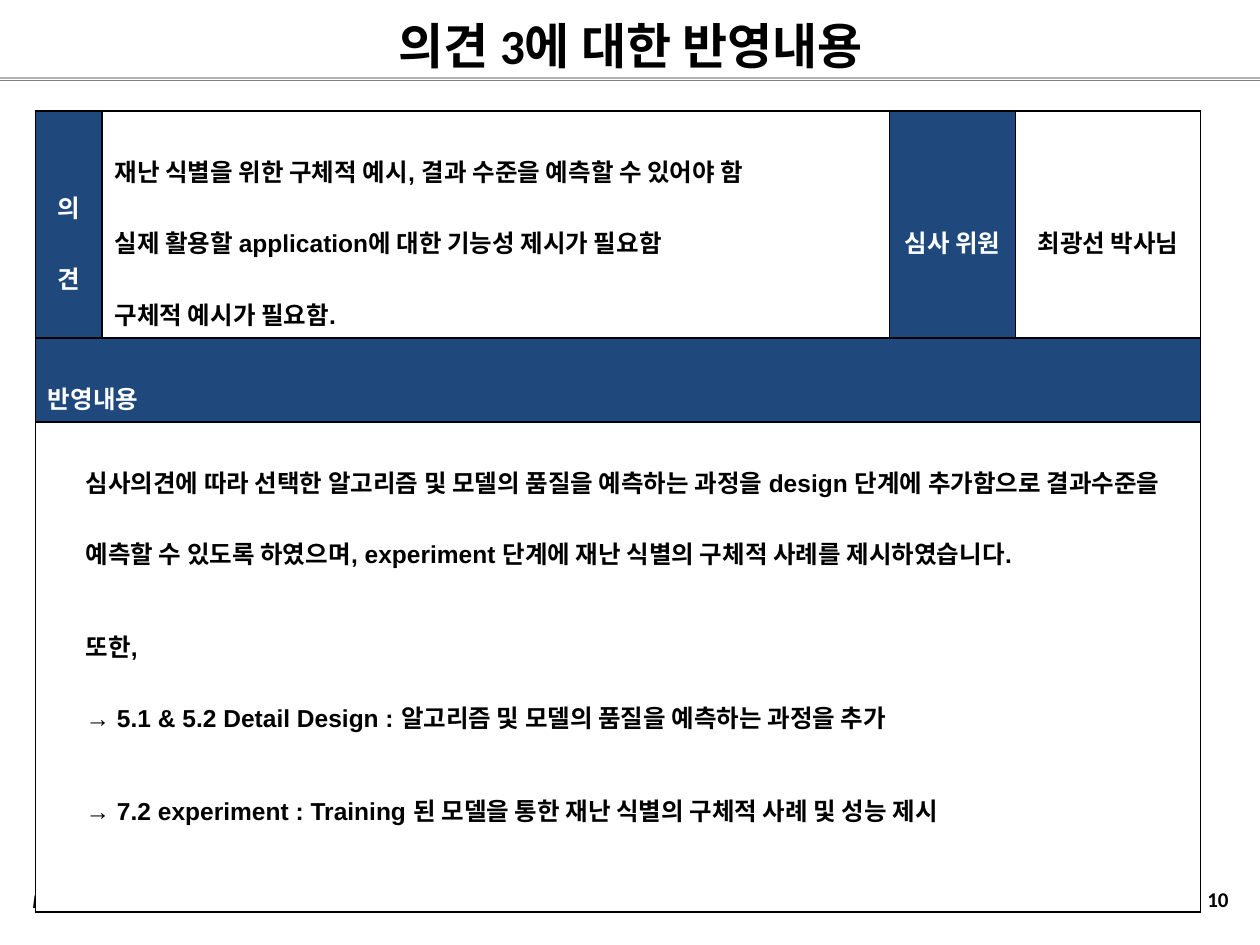
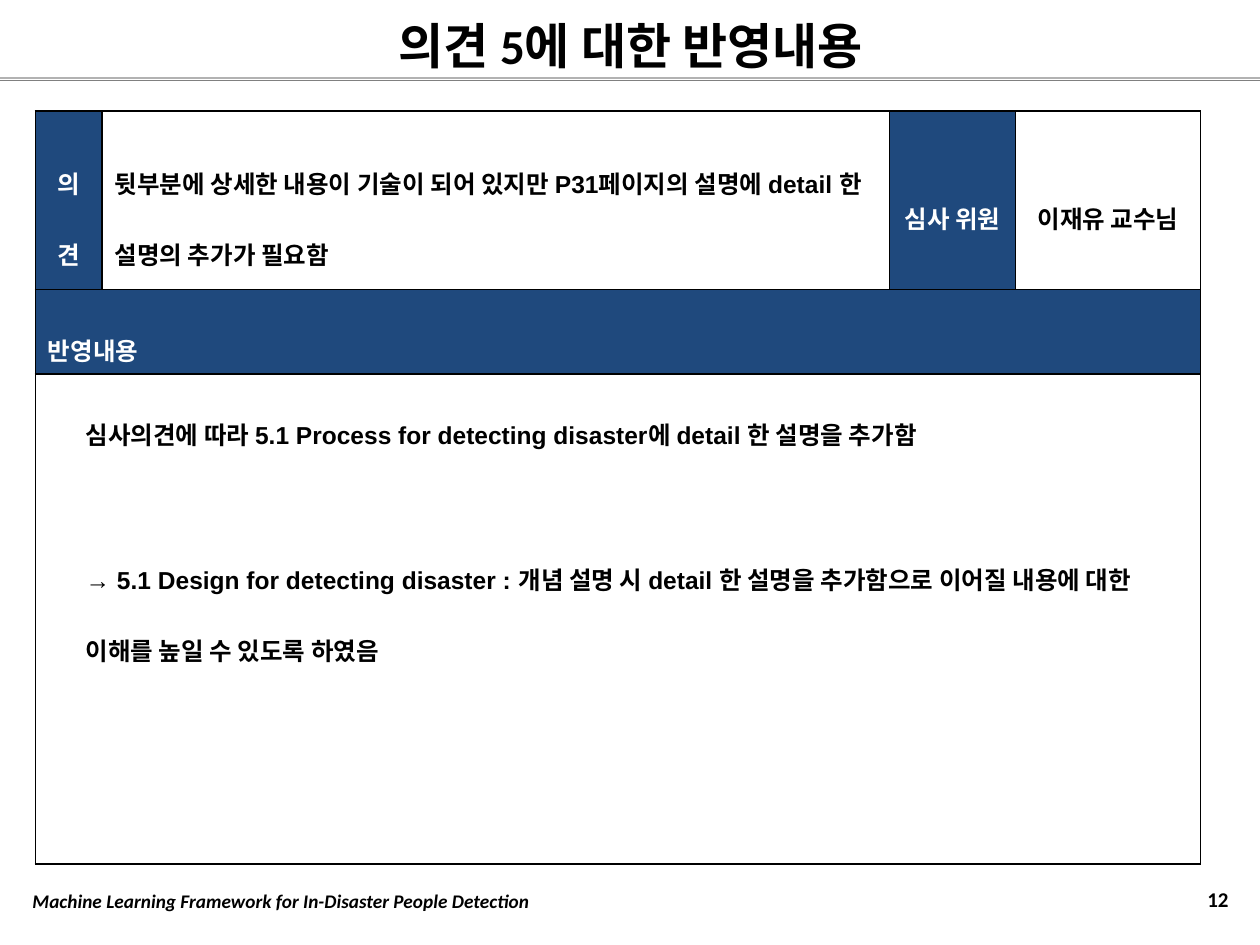
from dataclasses import dataclass

from lxml import etree
from pptx import Presentation
from pptx.dml.color import RGBColor
from pptx.enum.shapes import MSO_CONNECTOR
from pptx.enum.text import MSO_ANCHOR, MSO_AUTO_SIZE, PP_ALIGN
from pptx.oxml.ns import qn
from pptx.util import Inches, Pt

LEFT, MID, RIGHT = PP_ALIGN.LEFT, PP_ALIGN.CENTER, PP_ALIGN.RIGHT
TOP, CENTER = MSO_ANCHOR.TOP, MSO_ANCHOR.MIDDLE
STRAIGHT = MSO_CONNECTOR.STRAIGHT
NO_FIT = MSO_AUTO_SIZE.NONE
TITLE_ONLY = 5


@dataclass(frozen=True)
class Theme:
    ink: str = "000000"
    paper: str = "FFFFFF"
    navy: str = "1F497D"
    pale: str = "B2B2B2"
    gray: str = "808080"
    head: str = "Calibri"
    body: str = "Arial"
    title: int = 28
    cell: int = 14
    number: int = 12
    footer: int = 11


FOOTER = "Machine Learning Framework for In-Disaster People Detection"
COLS = (0.53, 6.25, 1, 1.47)
ROWS = (1.42, 0.49, 3.89)
EDGES = ("L", "R", "T", "B")

# Body items pair a text with its space before in points.
REVIEWS = [
    {
        "title": "의견 3에 대한 반영내용",
        "number": "10",
        "notes": [
            "재난 식별을 위한 구체적 예시, 결과 수준을 예측할 수 있어야 함",
            "실제 활용할 application에 대한 기능성 제시가 필요함",
            "구체적 예시가 필요함.",
        ],
        "judge": "최광선 박사님",
        "reply": [
            ("심사의견에 따라 선택한 알고리즘 및 모델의 품질을 예측하는 과정을 "
             "design 단계에 추가함으로 결과수준을 예측할 수 있도록 하였으며, "
             "experiment 단계에 재난 식별의 구체적 사례를 제시하였습니다.", 0),
            ("또한,\n→ 5.1 & 5.2 Detail Design : "
             "알고리즘 및 모델의 품질을 예측하는 과정을 추가", 6),
            ("→ 7.2 experiment : Training 된 모델을 통한 "
             "재난 식별의 구체적 사례 및 성능 제시", 6),
        ],
    },
    {
        "title": "의견 5에 대한 반영내용",
        "number": "12",
        "notes": [
            "뒷부분에 상세한 내용이 기술이 되어 있지만 P31페이지의 설명에 "
            "detail 한 설명의 추가가 필요함",
        ],
        "judge": "이재유 교수님",
        "reply": [
            ("심사의견에 따라 5.1 Process for detecting disaster에 "
             "detail 한 설명을 추가함", 0),
            ("→ 5.1 Design for detecting disaster : 개념 설명 시 detail 한 "
             "설명을 추가함으로 이어질 내용에 대한 이해를 높일 수 있도록 하였음", 36),
        ],
    },
]


def assign(target, values):
    for name, value in values.items():
        setattr(target, name, value)


def rgb(color):
    return RGBColor.from_string(color)


def node(parent, tag, **attrs):
    item = etree.SubElement(parent, qn(tag))
    for name, value in attrs.items():
        item.set(name, str(value))
    return item


class Deck:
    def __init__(self, theme):
        self.theme = theme
        self.file = Presentation()
        assign(self.file, {"slide_width": Inches(10), "slide_height": Inches(7.5)})
        self.slide = None

    def start(self):
        layout = self.file.slide_layouts[TITLE_ONLY]
        self.slide = self.file.slides.add_slide(layout)

    def style(self, para, size, font, color, italic=False, **layout):
        assign(para, layout)
        assign(para.font, {"size": Pt(size), "name": font,
                           "bold": True, "italic": italic})
        para.font.color.rgb = rgb(color)

    def rule(self, y, color, shade=False):
        line = self.slide.shapes.add_connector(
            STRAIGHT, Inches(0), Inches(y), Inches(10), Inches(y))
        line.line.color.rgb = rgb(color)
        line.line.width = Pt(0.75)
        effects = node(line._element.spPr, "a:effectLst")
        if shade:
            shadow = node(effects, "a:outerShdw", blurRad=Pt(4), dist=Pt(3),
                          dir=45 * 60000, algn="tl", rotWithShape=0)
            tint = node(shadow, "a:srgbClr", val=self.theme.ink)
            node(tint, "a:alpha", val=40000)

    def title(self, text):
        shape = self.slide.shapes.title
        assign(shape, {"left": Inches(0.16), "top": Inches(0.08),
                       "width": Inches(9.69), "height": Inches(0.55)})
        self.fill(shape.text_frame, text, self.theme.title, MID)

    def label(self, text, x, y, width, size, align, italic=False):
        box = self.slide.shapes.add_textbox(
            Inches(x), Inches(y), Inches(width), Inches(0.4))
        self.fill(box.text_frame, text, size, align, italic)

    def fill(self, frame, text, size, align, italic=False):
        assign(frame, {"word_wrap": True, "auto_size": NO_FIT,
                       "vertical_anchor": CENTER, "text": text})
        self.style(frame.paragraphs[0], size, self.theme.head, self.theme.ink,
                   italic, alignment=align)

    def border(self, cell):
        props = cell._tc.get_or_add_tcPr()
        for edge in EDGES:
            line = node(props, f"a:ln{edge}", w=Pt(1))
            paint = node(line, "a:solidFill")
            node(paint, "a:srgbClr", val=self.theme.ink)

    def cell(self, cell, items, align=LEFT, dark=False, reply=False):
        """Fill a cell from (text, space before) pairs."""
        theme = self.theme
        cell.fill.solid()
        cell.fill.fore_color.rgb = rgb(theme.navy if dark else theme.paper)
        cell.vertical_anchor = TOP if reply else CENTER
        frame = cell.text_frame
        for index, (text, before) in enumerate(items):
            para = frame.add_paragraph() if index else frame.paragraphs[0]
            para.text = text
            self.style(para, theme.cell, theme.body,
                       theme.paper if dark else theme.ink,
                       alignment=align, line_spacing=2.0,
                       space_before=Pt(before), space_after=Pt(6 if reply else 0))
            if reply:
                props = para._p.get_or_add_pPr()
                props.set("marL", str(Inches(0.3)))
                props.set("indent", "0")

    def table(self, review):
        grid = self.slide.shapes.add_table(
            len(ROWS), len(COLS), Inches(0.28), Inches(0.88),
            Inches(sum(COLS)), Inches(sum(ROWS))).table
        assign(grid, {"first_row": False, "horz_banding": False})
        for col, width in zip(grid.columns, COLS):
            col.width = Inches(width)
        for row, height in zip(grid.rows, ROWS):
            row.height = Inches(height)
        for cell in grid.iter_cells():
            self.border(cell)
        for row in (1, 2):
            grid.cell(row, 0).merge(grid.cell(row, len(COLS) - 1))
        self.cell(grid.cell(0, 0), [("의견", 0)], MID, dark=True)
        self.cell(grid.cell(0, 1), [(note, 0) for note in review["notes"]])
        self.cell(grid.cell(0, 2), [("심사 위원", 0)], MID, dark=True)
        self.cell(grid.cell(0, 3), [(review["judge"], 0)], MID)
        self.cell(grid.cell(1, 0), [("반영내용", 0)], dark=True)
        self.cell(grid.cell(2, 0), review["reply"], reply=True)

    def review(self, review):
        theme = self.theme
        self.start()
        self.rule(0.62, theme.pale)
        self.rule(0.64, theme.gray, shade=True)
        self.title(review["title"])
        self.label(review["number"], 9.02, 6.94, 0.83, theme.number, RIGHT)
        self.label(FOOTER, 0.16, 6.95, 8.86, theme.footer, LEFT, italic=True)
        self.table(review)


def main():
    deck = Deck(Theme())
    for review in REVIEWS:
        deck.review(review)
    deck.file.save("out.pptx")


if __name__ == "__main__":
    main()
